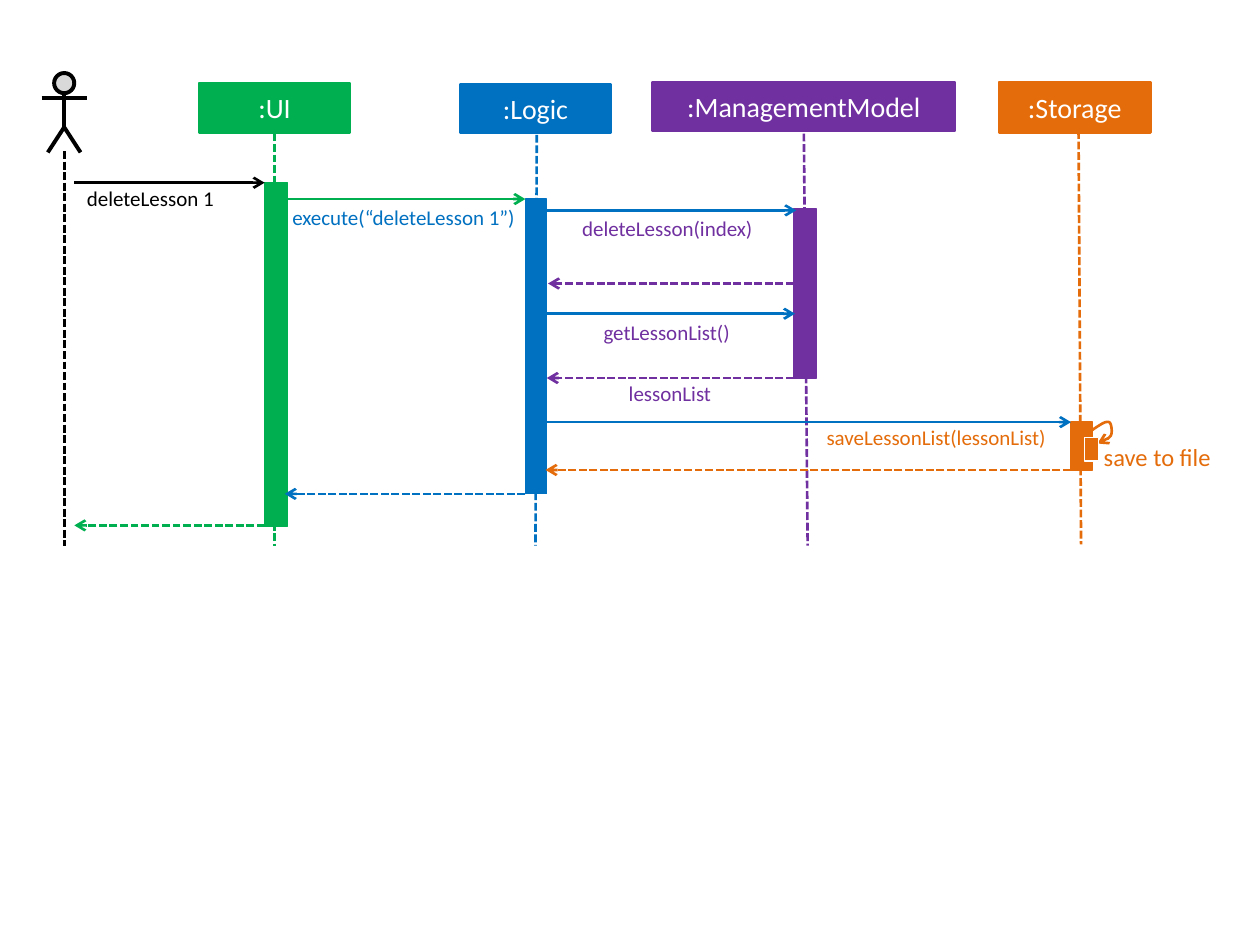
import pptx
import pptx.util
import pptx.dml.color
import pptx.enum.dml
import pptx.enum.shapes
import pptx.enum.text
import pptx.oxml.ns
from lxml import etree

Inches, Pt = pptx.util.Inches, pptx.util.Pt
RGBColor = pptx.dml.color.RGBColor
SHAPE = pptx.enum.shapes.MSO_SHAPE
qn = pptx.oxml.ns.qn

BLACK = RGBColor(0x00, 0x00, 0x00)
WHITE = RGBColor(0xFF, 0xFF, 0xFF)
GREY = RGBColor(0xD9, 0xD9, 0xD9)
GREEN = RGBColor(0x00, 0xB0, 0x50)
BLUE = RGBColor(0x00, 0x70, 0xC0)
PURPLE = RGBColor(0x70, 0x30, 0xA0)
ORANGE = RGBColor(0xE4, 0x6C, 0x0A)

prs = pptx.Presentation()
prs.slide_width, prs.slide_height = Inches(10), Inches(7.5)
slide = prs.slides.add_slide(prs.slide_layouts[6])
shapes = slide.shapes


def add_line(x1, y1, x2, y2, color, width=1.5, dashed=False, arrow=False):
    line = shapes.add_connector(pptx.enum.shapes.MSO_CONNECTOR.STRAIGHT,
                                Inches(x1), Inches(y1), Inches(x2), Inches(y2))
    line.line.color.rgb = color
    line.line.width = Pt(width)
    if dashed:
        line.line.dash_style = pptx.enum.dml.MSO_LINE.SQUARE_DOT
    if arrow:
        etree.SubElement(line.line._get_or_add_ln(), qn("a:tailEnd"), type="arrow")
    etree.SubElement(line._element.spPr, qn("a:effectLst"))


def add_box(left, top, width, height, fill, outline, weight, kind=SHAPE.RECTANGLE):
    box = shapes.add_shape(kind, Inches(left), Inches(top), Inches(width), Inches(height))
    box.shadow.inherit = False
    box.fill.solid()
    box.fill.fore_color.rgb = fill
    box.line.color.rgb = outline
    box.line.width = Pt(weight)
    return box


# Participants: name, colour, header box, lifeline ends, activation bar
participants = [
    (":UI", GREEN, (1.58, 0.66, 1.2, 0.39), (2.18, 1.06, 2.18, 4.33), (2.1, 1.45, 0.18, 2.73)),
    (":Logic", BLUE, (3.65, 0.67, 1.2, 0.38), (4.26, 1.07, 4.25, 4.33), (4.17, 1.58, 0.17, 2.34)),
    (":ManagementModel", PURPLE, (5.18, 0.65, 2.4, 0.39), (6.38, 1.06, 6.41, 4.33),
     (6.3, 1.66, 0.18, 1.34)),
    (":Storage", ORANGE, (7.93, 0.65, 1.2, 0.4), (8.56, 1.04, 8.58, 4.32), (8.5, 3.35, 0.17, 0.38)),
]
for name, color, header_box, lifeline, bar in participants:
    header = add_box(*header_box, color, color, 1.5)
    header.text_frame.text = name
    header.text_frame.vertical_anchor = pptx.enum.text.MSO_ANCHOR.MIDDLE
    title = header.text_frame.paragraphs[0]
    title.alignment = pptx.enum.text.PP_ALIGN.CENTER
    title.font.name, title.font.size = "Calibri", Pt(16)
    title.font.color.rgb = WHITE
    add_line(*lifeline, color, dashed=True)
    add_box(*bar, color, color, 0.75)

# User figure and lifeline
add_box(0.43, 0.58, 0.16, 0.16, GREY, BLACK, 2.25, SHAPE.FLOWCHART_CONNECTOR)
add_line(0.51, 0.74, 0.51, 1.02, BLACK, 2.25)
add_line(0.33, 0.78, 0.69, 0.78, BLACK, 2.25)
leg_path = shapes.build_freeform(Inches(0.38), Inches(1.21), scale=1.0)
leg_path.add_line_segments([(Inches(0.51), Inches(1.01)), (Inches(0.64), Inches(1.21))], close=False)
legs = leg_path.convert_to_shape()
legs.shadow.inherit = False
legs.fill.background()
legs.line.color.rgb = BLACK
legs.line.width = Pt(2.25)
add_line(0.51, 1.2, 0.51, 4.33, BLACK, dashed=True)

# Messages: sender x, receiver x, y, colour, is a reply
messages = [
    (0.59, 2.1, 1.45, BLACK, False),
    (2.18, 4.17, 1.58, GREEN, False),
    (4.25, 6.32, 1.67, BLUE, False),
    (6.3, 4.35, 2.25, PURPLE, True),
    (4.24, 6.31, 2.49, BLUE, False),
    (6.3, 4.34, 3, PURPLE, True),
    (4.26, 8.5, 3.35, BLUE, False),
    (8.58, 4.33, 3.73, ORANGE, True),
    (4.17, 2.26, 3.92, BLUE, True),
    (2.1, 0.59, 4.17, GREEN, True),
]
for sender, receiver, y, color, reply in messages:
    add_line(sender, y, receiver, y, color, dashed=reply, arrow=True)

# Storage self call: three cubic curves sampled into short segments
curves = [
    ((8.66, 3.42), (8.72, 3.38), (8.77, 3.34), (8.8, 3.35)),
    ((8.8, 3.35), (8.82, 3.35), (8.83, 3.42), (8.82, 3.45)),
    ((8.82, 3.45), (8.81, 3.48), (8.76, 3.5), (8.71, 3.52)),
]
STEPS = 8
loop_points = []
for curve in curves:
    for step in range(1, STEPS + 1):
        t = step / STEPS
        weights = ((1 - t) ** 3, 3 * t * (1 - t) ** 2, 3 * t ** 2 * (1 - t), t ** 3)
        loop_points.append(tuple(Inches(sum(w * p[axis] for w, p in zip(weights, curve)))
                                 for axis in (0, 1)))
loop_path = shapes.build_freeform(Inches(8.66), Inches(3.42), scale=1.0)
loop_path.add_line_segments(loop_points, close=False)
self_call = loop_path.convert_to_shape()
self_call.shadow.inherit = False
self_call.fill.background()
self_call.line.color.rgb = ORANGE
self_call.line.width = Pt(1.5)
etree.SubElement(self_call.line._get_or_add_ln(), qn("a:tailEnd"), type="arrow")
add_box(8.61, 3.47, 0.11, 0.19, ORANGE, WHITE, 0.75)

# Message labels: text, left, top, width, size, colour
labels = [
    ("deleteLesson 1", 0.69, 1.47, 1.26, 12, BLACK),
    ("execute(“deleteLesson 1”)", 2.32, 1.62, 1.84, 12, BLUE),
    ("deleteLesson(index)", 4.62, 1.71, 1.38, 12, PURPLE),
    ("getLessonList()", 4.79, 2.54, 1.25, 12, PURPLE),
    ("lessonList", 4.99, 3.02, 0.7, 12, PURPLE),
    ("saveLessonList(lessonList)", 6.56, 3.37, 2.11, 12, ORANGE),
    ("save to file", 8.76, 3.51, 0.87, 14, ORANGE),
]
for text, left, top, width, size, color in labels:
    label = shapes.add_textbox(Inches(left), Inches(top), Inches(width), Inches(size / 60))
    frame = label.text_frame
    frame.margin_left = frame.margin_right = frame.margin_top = frame.margin_bottom = 0
    frame.word_wrap = True
    frame.text = text
    font = frame.paragraphs[0].font
    font.name, font.size = "Calibri", Pt(size)
    font.color.rgb = color

prs.save("out.pptx")
